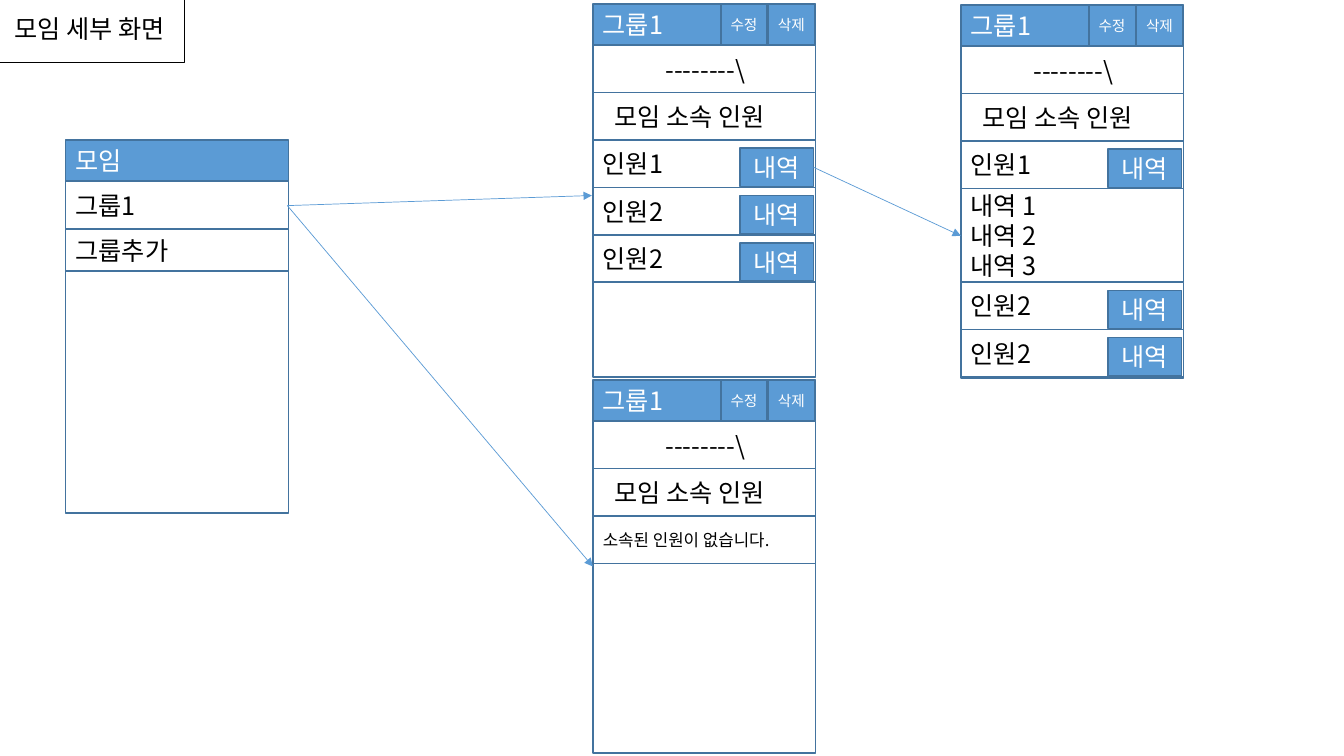
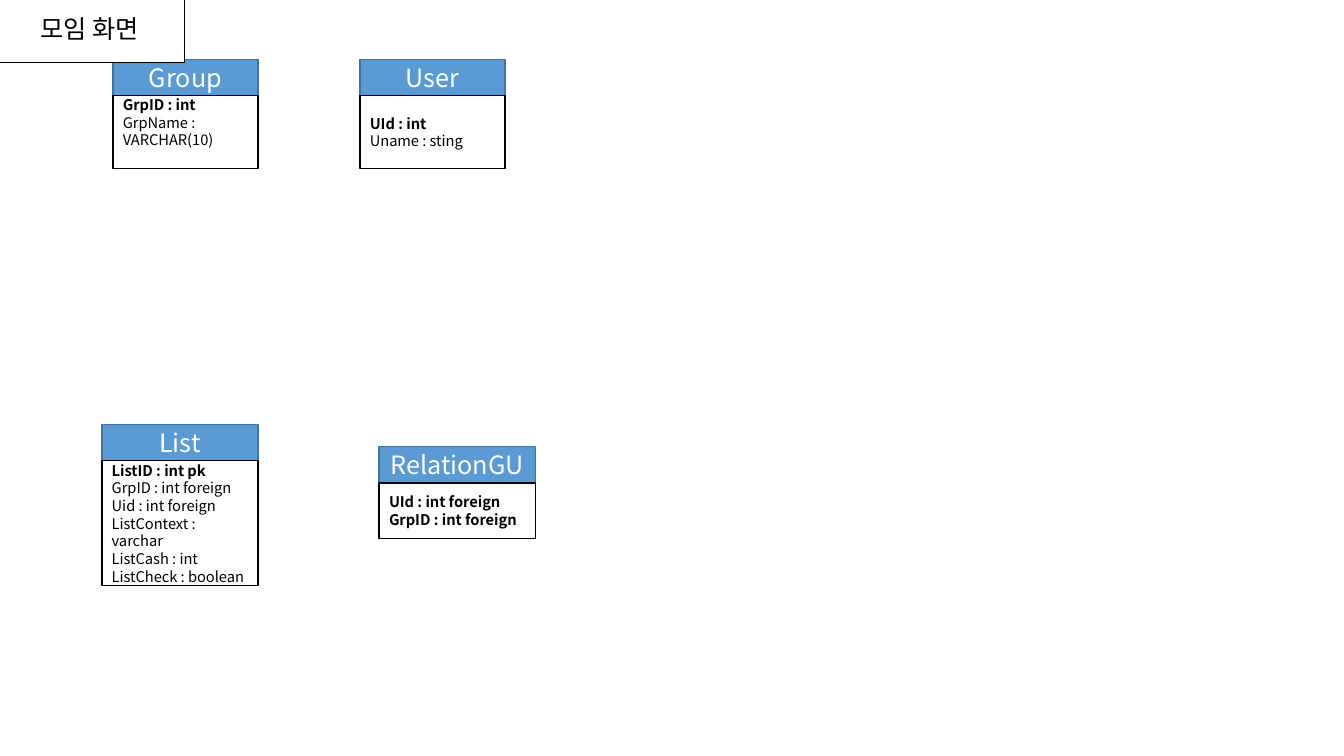
from lxml.etree import SubElement
from pptx import Presentation
from pptx.dml.color import RGBColor
from pptx.enum.shapes import MSO_CONNECTOR, MSO_SHAPE
from pptx.enum.text import MSO_ANCHOR, PP_ALIGN
from pptx.oxml.ns import qn
from pptx.util import Inches, Pt

# Shared style
FONT = "Noto Sans CJK KR"
BLUE = RGBColor(0x5B, 0x9B, 0xD5)
EDGE = RGBColor(0x43, 0x73, 0x9E)
WHITE = RGBColor(0xFF, 0xFF, 0xFF)
BLACK = RGBColor(0, 0, 0)

PLAIN = dict(fill=WHITE, line=EDGE, color=BLACK, size=18, align=PP_ALIGN.LEFT, left=0.1, right=0.1)
HEADER = {**PLAIN, "fill": BLUE, "color": WHITE}
BUTTON = {**HEADER, "align": PP_ALIGN.CENTER, "left": 0, "right": 0}
SMALL_BUTTON = {**BUTTON, "size": 10.5}
DASHES = {**PLAIN, "left": 0.72}
SUBTITLE = {**PLAIN, "left": 0.21}
NOTICE = {**PLAIN, "size": 12}
TITLE = {**PLAIN, "line": BLACK, "align": PP_ALIGN.CENTER}
TABLE_HEAD = {**HEADER, "align": PP_ALIGN.CENTER}
TABLE_BODY = {**PLAIN, "line": BLACK, "size": 10.5}

# Screen measures in inches
SCREEN_W, SCREEN_H = 2.21, 3.69
HEADER_H, ROW_H, DETAIL_H = 0.4, 0.47, 0.93
TABLE_HEAD_H = 0.36

# Slide 1 content: rows are (lines, style, height, has history button)
SCREEN_TOP = [(["--------\\"], DASHES, ROW_H, False),
              (["모임 소속 인원"], SUBTITLE, ROW_H, False)]
MEMBER_1 = (["인원1"], PLAIN, ROW_H, True)
MEMBER_2 = (["인원2"], PLAIN, ROW_H, True)
DETAIL = (["내역 1", "내역 2", "내역 3"], PLAIN, DETAIL_H, False)
EMPTY = (["소속된 인원이 없습니다."], NOTICE, ROW_H, False)
GROUP_LIST = [(["그룹1"], PLAIN, ROW_H, False),
              (["그룹추가"], PLAIN, 0.42, False)]
ACTIONS = ["수정", "삭제"]

# Left, top, header, header buttons, rows
SCREENS = [
    (0.65, 1.39, "모임", [], GROUP_LIST),
    (5.88, 0.04, "그룹1", ACTIONS, SCREEN_TOP + [MEMBER_1, MEMBER_2, MEMBER_2]),
    (5.88, 3.77, "그룹1", ACTIONS, SCREEN_TOP + [EMPTY]),
    (9.53, 0.05, "그룹1", ACTIONS, SCREEN_TOP + [MEMBER_1, DETAIL, MEMBER_2, MEMBER_2]),
]
ARROWS = [((2.85, 2.04), (5.87, 1.94)),
          ((8.07, 1.66), (9.53, 2.34)),
          ((2.85, 2.04), (5.88, 5.62))]

# Slide 2 content: left, top, width, body height, name, key fields, other fields, anchor
TABLES = [
    (1.12, 0.59, 1.44, 0.72, "Group", ["GrpID : int"],
     ["GrpName : VARCHAR(10)"], MSO_ANCHOR.TOP),
    (3.57, 0.59, 1.44, 0.72, "User", ["UId : int"],
     ["Uname : sting"], MSO_ANCHOR.MIDDLE),
    (1.01, 4.21, 1.55, 1.24, "List", ["ListID : int pk"],
     ["GrpID : int foreign", "Uid : int foreign", "ListContext : varchar",
      "ListCash : int", "ListCheck : boolean"], MSO_ANCHOR.MIDDLE),
    (3.76, 4.43, 1.55, 0.55, "RelationGU",
     ["UId : int foreign", "GrpID : int foreign"], [], MSO_ANCHOR.MIDDLE),
]


def add_box(parent, x, y, w, h, lines, style, bold=0, anchor=MSO_ANCHOR.MIDDLE):
    """Rectangle with one paragraph per line; the first `bold` lines are bold."""
    sp = parent.shapes.add_shape(MSO_SHAPE.RECTANGLE, *map(Inches, (x, y, w, h)))
    sp.shadow.inherit = False
    sp.fill.solid()
    sp.fill.fore_color.rgb = style["fill"]
    sp.line.color.rgb = style["line"]
    sp.line.width = Pt(1)
    tf = sp.text_frame
    frame = dict(word_wrap=True, vertical_anchor=anchor, margin_top=0, margin_bottom=0,
                 margin_left=Inches(style["left"]), margin_right=Inches(style["right"]))
    for key, value in frame.items():
        setattr(tf, key, value)
    for i, text in enumerate(lines):
        p = tf.add_paragraph() if i else tf.paragraphs[0]
        p.alignment = style["align"]
        p.line_spacing = Pt(style["size"] * 1.2)
        r = p.add_run()
        r.text = text
        for key, value in dict(name=FONT, size=Pt(style["size"]), bold=i < bold).items():
            setattr(r.font, key, value)
        r.font.color.rgb = style["color"]
        SubElement(r.font._element, qn("a:ea"), typeface=FONT)


def add_arrow(s, start, end):
    c = s.shapes.add_connector(MSO_CONNECTOR.STRAIGHT, *map(Inches, start + end))
    c.line.color.rgb = BLUE
    c.line.width = Pt(0.5)
    SubElement(c.line._get_or_add_ln(), qn("a:tailEnd"), type="triangle")
    SubElement(c._element.spPr, qn("a:effectLst"))


def add_screen(s, x, y, header, actions, rows):
    group = s.shapes.add_group_shape()
    add_box(group, x, y + 0.01, SCREEN_W, SCREEN_H, [], PLAIN)
    add_box(group, x, y, SCREEN_W, HEADER_H, [header], HEADER)
    for i, action in enumerate(actions):
        add_box(group, x + 1.27 + 0.47 * i, y, 0.46, HEADER_H, [action], SMALL_BUTTON)
    row_y = y + HEADER_H + 0.01
    for lines, style, h, has_history in rows:
        add_box(group, x, row_y, SCREEN_W, h, lines, style)
        if has_history:
            add_box(group, x + 1.46, row_y + 0.08, 0.73, 0.38, ["내역"], BUTTON)
        row_y += h


def add_table_box(s, x, y, w, h, name, keys, fields, anchor):
    group = s.shapes.add_group_shape()
    add_box(group, x, y, w, TABLE_HEAD_H, [name], TABLE_HEAD)
    add_box(group, x, y + TABLE_HEAD_H, w, h, keys + fields, TABLE_BODY, len(keys), anchor)


def add_title(s, text):
    add_box(s, -0.06, -0.05, 1.89, 0.67, [text], TITLE)


def main():
    prs = Presentation()
    prs.slide_width, prs.slide_height = Inches(13.33), Inches(7.5)
    blank = prs.slide_layouts[6]

    # Slide 1: screen flow
    s = prs.slides.add_slide(blank)
    for screen in SCREENS:
        add_screen(s, *screen)
    for start, end in ARROWS:
        add_arrow(s, start, end)
    add_title(s, "모임 세부 화면")

    # Slide 2: data tables
    s = prs.slides.add_slide(blank)
    for table in TABLES:
        add_table_box(s, *table)
    add_title(s, "모임 화면")

    prs.save("out.pptx")


if __name__ == "__main__":
    main()
